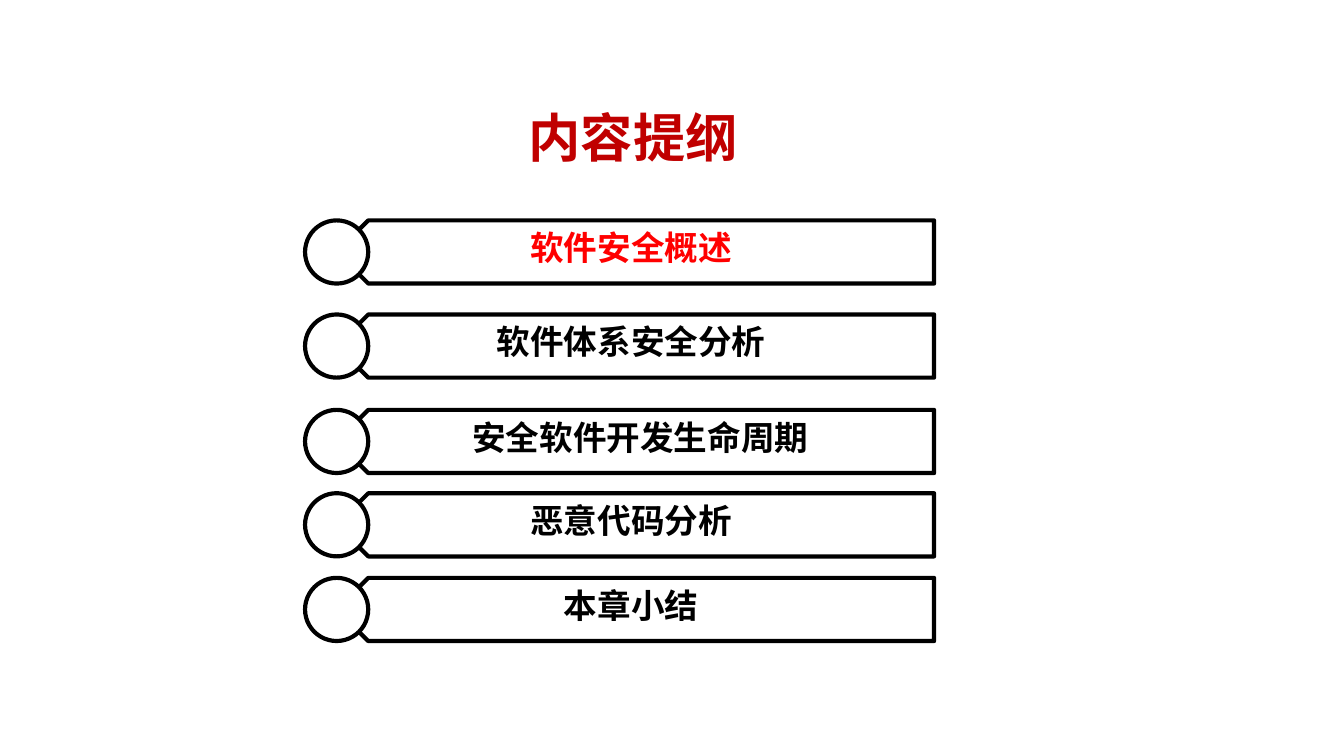
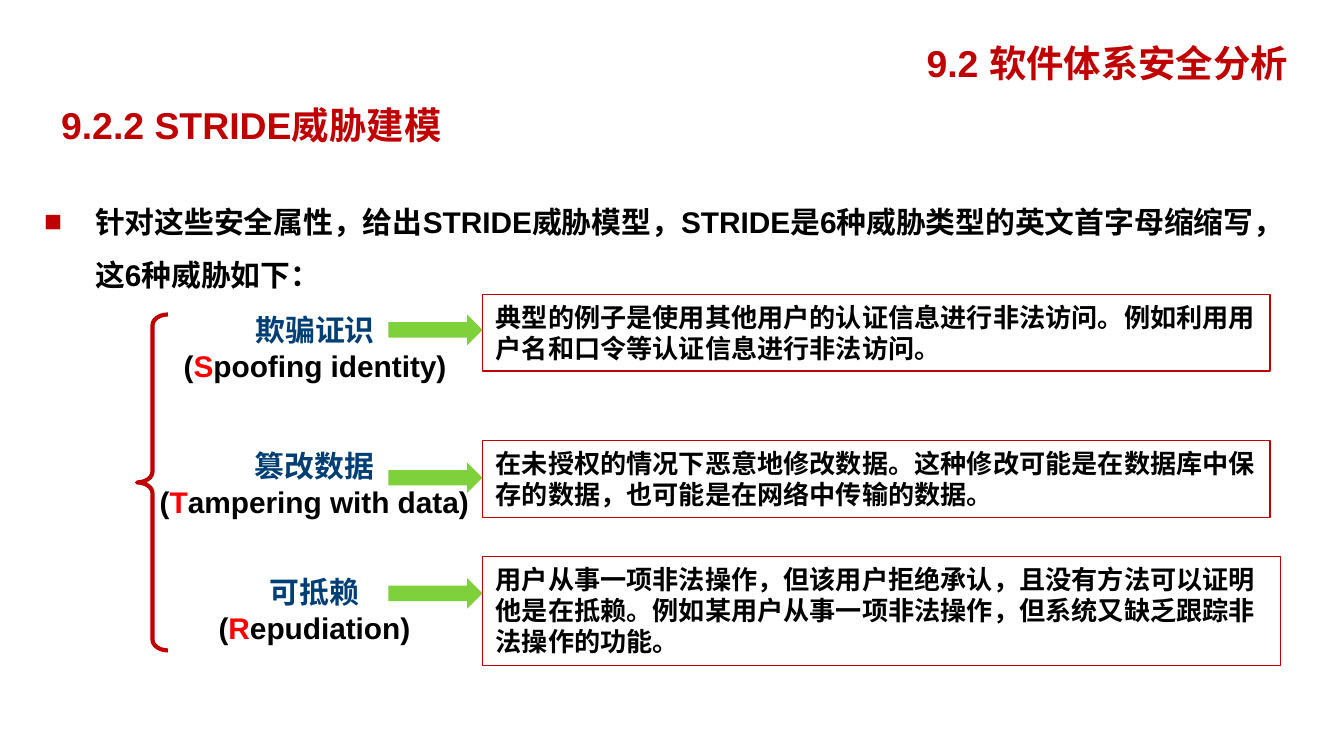
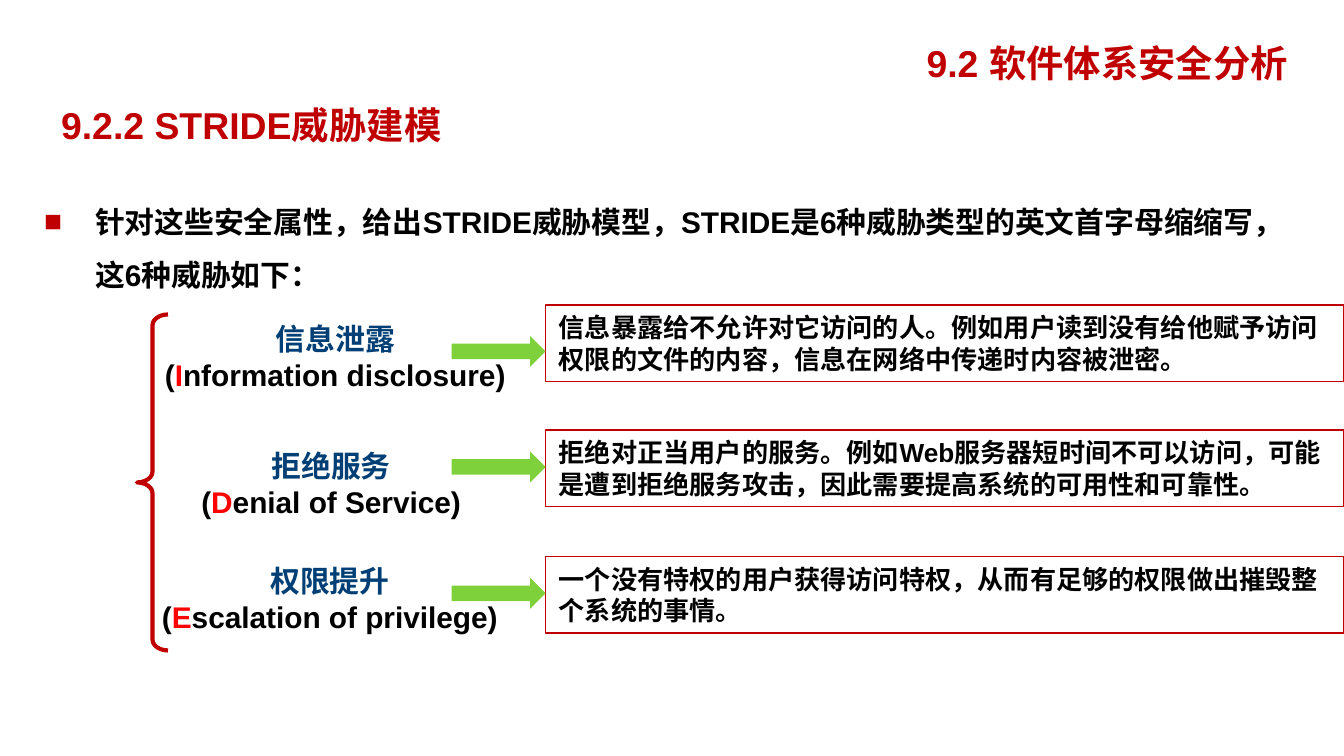
from dataclasses import dataclass

from lxml.etree import SubElement
from pptx import Presentation
from pptx.dml.color import RGBColor
from pptx.enum.shapes import MSO_SHAPE
from pptx.enum.text import MSO_ANCHOR, MSO_AUTO_SIZE, PP_ALIGN
from pptx.oxml.ns import qn
from pptx.util import Inches, Pt


@dataclass(frozen=True)
class Theme:
    latin: str = "Arial"
    chinese: str = "Noto Sans CJK SC"
    ink: str = "000000"
    paper: str = "FFFFFF"
    crimson: str = "C00000"
    highlight: str = "FF0000"
    navy: str = "003F75"
    green: str = "7FD13B"
    title_size: int = 28
    heading_size: int = 20
    agenda_size: int = 18
    body_size: int = 16
    detail_size: int = 14
    heavy_line: float = 2.25
    thin_line: float = 0.75


THEME = Theme()


@dataclass(frozen=True)
class Box:
    left: float
    top: float
    width: float
    height: float

    def inches(self):
        return [Inches(n) for n in (self.left, self.top, self.width, self.height)]


@dataclass(frozen=True)
class Threat:
    """One threat; its tops are measured from the top of the brace."""
    chinese: str
    english: str
    label_left: float
    label_width: float
    label_top: float
    arrow_top: float
    detail_top: float
    detail_width: float
    detail_height: float
    detail: str


AGENDA_BOX = Box(2.27, 1.64, 4.68, 3.13)
AGENDA = [  # topic, top within the agenda, left within the agenda, width of the topic
    ("软件安全概述", 0, 1.25, 2.35),
    ("软件体系安全分析", 0.7, 1.25, 2.35),
    ("安全软件开发生命周期", 1.41, 1.01, 2.97),
    ("恶意代码分析", 2.03, 1.25, 2.35),
    ("本章小结", 2.66, 1.25, 2.35),
]
STRIDE_INTRO = ("针对这些安全属性，给出STRIDE威胁模型，STRIDE是6种威胁类型的"
                "英文首字母缩缩写，这6种威胁如下：")
BRACE_BOX = Box(1.02, 2.34, 0.23, 2.5)
FIRST_THREATS = [
    Threat("欺骗证识", "Spoofing identity", 1.25, 2.19, -0.07, 0, -0.15, 5.86, 0.57,
           "典型的例子是使用其他用户的认证信息进行非法访问。"
           "例如利用用户名和口令等认证信息进行非法访问。"),
    Threat("篡改数据", "Tampering with data", 1.09, 2.5, 0.94, 1.1, 0.94, 5.86, 0.57,
           "在未授权的情况下恶意地修改数据。这种修改可能是在数据库中保存的数据，"
           "也可能是在网络中传输的数据。"),
    Threat("可抵赖", "Repudiation", 1.48, 1.72, 1.88, 1.96, 1.8, 5.94, 0.81,
           "用户从事一项非法操作，但该用户拒绝承认，且没有方法可以证明他是在抵赖。"
           "例如某用户从事一项非法操作，但系统又缺乏跟踪非法操作的功能。"),
]
LAST_THREATS = [
    Threat("信息泄露", "Information disclosure", 1.09, 2.81, 0, 0.16, -0.07, 5.94, 0.57,
           "信息暴露给不允许对它访问的人。例如用户读到没有给他赋予访问权限的文件的内容，"
           "信息在网络中传递时内容被泄密。"),
    Threat("拒绝服务", "Denial of Service", 1.33, 2.27, 0.94, 1.02, 0.86, 5.94, 0.57,
           "拒绝对正当用户的服务。例如Web服务器短时间不可以访问，可能是遭到拒绝服务攻击，"
           "因此需要提高系统的可用性和可靠性。"),
    Threat("权限提升", "Escalation of privilege", 1.09, 2.73, 1.8, 1.96, 1.8, 5.94, 0.57,
           "一个没有特权的用户获得访问特权，从而有足够的权限做出摧毁整个系统的事情。"),
]


def write_text(shape, *paragraphs, size, color=THEME.ink, latin=THEME.latin,
               align=PP_ALIGN.LEFT, anchor=MSO_ANCHOR.TOP, wrap=True, grow=False,
               spacing=None):
    """Write each paragraph, given as a string or as (text, colour) runs."""
    frame = shape.text_frame
    frame.word_wrap = wrap
    frame.vertical_anchor = anchor
    frame.auto_size = MSO_AUTO_SIZE.SHAPE_TO_FIT_TEXT if grow else MSO_AUTO_SIZE.NONE
    for index, content in enumerate(paragraphs):
        paragraph = frame.add_paragraph() if index else frame.paragraphs[0]
        paragraph.alignment = align
        if spacing:
            paragraph.line_spacing = spacing
        runs = [(content, color)] if isinstance(content, str) else content
        for words, run_color in runs:
            run = paragraph.add_run()
            run.text = words
            run.font.size = Pt(size)
            run.font.bold = True
            run.font.name = latin
            run.font.color.rgb = RGBColor.from_string(run_color)
            SubElement(run.font._element, qn("a:ea"), typeface=THEME.chinese)


def add_text(slide, box, *paragraphs, **text_format):
    textbox = slide.shapes.add_textbox(*box.inches())
    write_text(textbox, *paragraphs, **text_format)
    return textbox


def add_figure(slide, preset, box, fill=None, line=None, weight=THEME.heavy_line,
               adjustments=()):
    figure = slide.shapes.add_shape(preset, *box.inches())
    figure.shadow.inherit = False
    for index, amount in enumerate(adjustments):
        figure.adjustments[index] = amount
    if fill:
        figure.fill.solid()
        figure.fill.fore_color.rgb = RGBColor.from_string(fill)
    else:
        figure.fill.background()
    if line:
        figure.line.color.rgb = RGBColor.from_string(line)
        figure.line.width = Pt(weight)
    else:
        figure.line.fill.background()
    return figure


def add_square_bullet(paragraph, indent):
    properties = paragraph._p.get_or_add_pPr()
    properties.set("marL", str(Inches(indent)))
    properties.set("indent", str(-Inches(indent)))
    bullet_color = SubElement(properties, qn("a:buClr"))
    SubElement(bullet_color, qn("a:srgbClr"), val=THEME.crimson)
    SubElement(properties, qn("a:buFont"), typeface=THEME.latin)
    SubElement(properties, qn("a:buChar"), char="■")


def add_agenda_entry(slide, box, topic, topic_left, topic_width, color):
    """Draw a banner pointing left, the circle over its tip, and the topic."""
    tip = box.height / 2
    outline = {"fill": THEME.paper, "line": THEME.ink}
    banner_box = Box(box.left + tip, box.top, box.width - tip, box.height)
    banner = add_figure(slide, MSO_SHAPE.PENTAGON, banner_box, adjustments=[0.5], **outline)
    banner.rotation = 180
    add_figure(slide, MSO_SHAPE.OVAL, Box(box.left, box.top, box.height, box.height), **outline)
    add_text(slide, Box(box.left + topic_left, box.top, topic_width, 0.4), topic,
             size=THEME.agenda_size, color=color, latin=THEME.chinese,
             align=PP_ALIGN.CENTER, wrap=False, grow=True)


def build_agenda_slide(slide, box):
    add_text(slide, Box(1.64, 0.55, 6.14, 0.94), "内容提纲", size=THEME.title_size,
             color=THEME.crimson, align=PP_ALIGN.CENTER, anchor=MSO_ANCHOR.MIDDLE)
    for index, (topic, top, topic_left, topic_width) in enumerate(AGENDA):
        add_agenda_entry(slide, Box(box.left, box.top + top, box.width, 0.47), topic,
                         topic_left, topic_width, THEME.ink if index else THEME.highlight)


def add_headings(slide):
    for box, heading in ((Box(6.72, 0.16, 3.04, 0.61), "9.2 软件体系安全分析"),
                         (Box(0.23, 0.62, 3.28, 0.61), "9.2.2 STRIDE威胁建模")):
        add_text(slide, box, heading, size=THEME.heading_size, color=THEME.crimson,
                 align=PP_ALIGN.CENTER, anchor=MSO_ANCHOR.MIDDLE)


def add_threat(slide, top, detail_left, threat):
    """Draw the label, and the arrow that leads to the boxed detail."""
    initial, rest = threat.english[0], threat.english[1:]
    add_text(slide, Box(threat.label_left, top + threat.label_top, threat.label_width, 0.64),
             [(threat.chinese, THEME.navy)],
             [("(", THEME.ink), (initial, THEME.highlight), (rest + ")", THEME.ink)],
             size=THEME.body_size, align=PP_ALIGN.CENTER, wrap=False, grow=True)
    detail = add_figure(slide, MSO_SHAPE.RECTANGLE,
                        Box(detail_left, top + threat.detail_top,
                            threat.detail_width, threat.detail_height),
                        line=THEME.crimson, weight=THEME.thin_line)
    write_text(detail, threat.detail, size=THEME.detail_size, grow=True)
    arrow_width = 0.7
    add_figure(slide, MSO_SHAPE.RIGHT_ARROW,
               Box(detail_left - arrow_width, top + threat.arrow_top, arrow_width, 0.23),
               fill=THEME.green, adjustments=[0.5, 0.5])


def build_threat_slide(slide, brace_box, detail_left, threats):
    add_headings(slide)
    intro = add_text(slide, Box(0.23, 1.33, 9.45, 0.78), STRIDE_INTRO,
                     size=THEME.body_size, spacing=1.5)
    add_square_bullet(intro.text_frame.paragraphs[0], indent=0.38)
    add_figure(slide, MSO_SHAPE.LEFT_BRACE, brace_box, line=THEME.crimson,
               adjustments=[0.35, 0.5])
    for threat in threats:
        add_threat(slide, brace_box.top, detail_left, threat)


def main():
    deck = Presentation()
    deck.slide_width = Inches(10)
    deck.slide_height = deck.slide_width * 9 // 16
    blank = deck.slide_layouts[6]
    build_agenda_slide(deck.slides.add_slide(blank), AGENDA_BOX)
    for detail_left, threats in ((3.59, FIRST_THREATS), (4.06, LAST_THREATS)):
        build_threat_slide(deck.slides.add_slide(blank), BRACE_BOX, detail_left, threats)
    deck.save("out.pptx")


if __name__ == "__main__":
    main()
